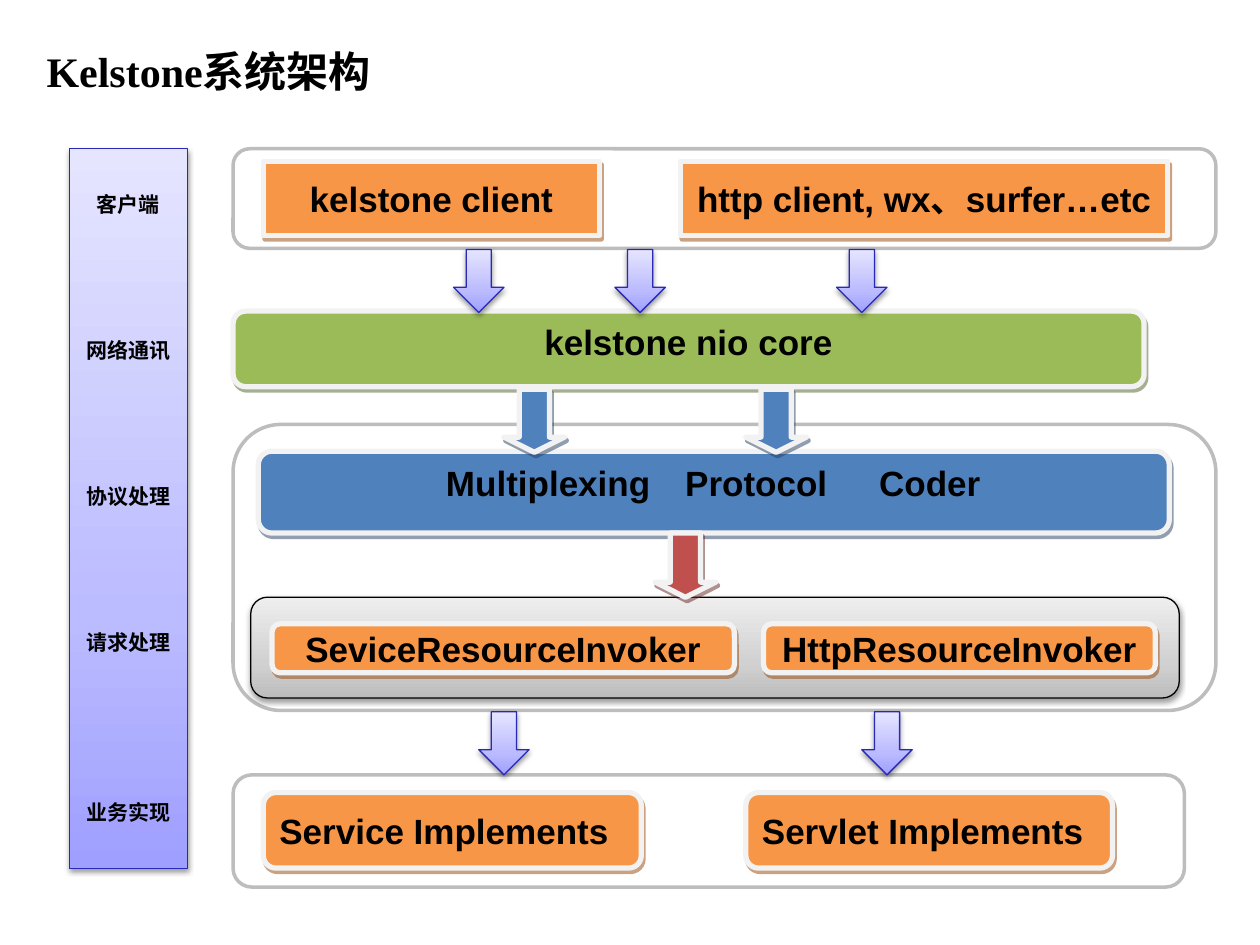
"""Build the system architecture slide."""
from copy import deepcopy

from lxml import etree
from pptx import Presentation
from pptx.dml.color import RGBColor
from pptx.enum.shapes import MSO_SHAPE
from pptx.enum.text import MSO_ANCHOR, PP_ALIGN
from pptx.oxml.ns import qn
from pptx.util import Pt

RECT, ROUND, DOWN = MSO_SHAPE.RECTANGLE, MSO_SHAPE.ROUNDED_RECTANGLE, MSO_SHAPE.DOWN_ARROW
LEFT, CENTER = PP_ALIGN.LEFT, PP_ALIGN.CENTER
TOP, MIDDLE = MSO_ANCHOR.TOP, MSO_ANCHOR.MIDDLE

COLORS = {
    "text": "000000", "white": "FFFFFF", "frame": "BDBDBD", "edge": "F2F2F2",
    "orange": "F79646", "orange_shade": "974706", "blue": "4F81BD", "blue_shade": "243F60",
    "green": "9BBB59", "green_shade": "4E6128", "red": "C0504D", "red_shade": "622423",
    "violet_line": "2929B8", "violet_0": "9F9FFF", "violet_35": "BBBBFF", "violet_100": "E5E5FF",
    "gray_line": "000000", "gray_0": "BDBDBD", "gray_35": "D1D1D1", "gray_100": "EEEEEE",
}


def rgb(name):
    """Return the named colour."""
    return RGBColor.from_string(COLORS[name])


class Diagram:
    """Hold the style and the current slide."""

    def __init__(self, slide):
        """Keep the slide to draw on."""
        self.slide = slide

    def shape(self, kind, box, line, width):
        """Add a plain shape with an outline."""
        s = self.slide.shapes.add_shape(kind, *map(Pt, box))
        s.shadow.inherit = False
        s.line.color.rgb = rgb(line)
        s.line.width = Pt(width)
        return s

    def shadow(self, s, color, alpha, blur, dist, angle):
        """Give a shape an outer shadow."""
        effects = s._element.spPr.find(qn("a:effectLst"))
        shadow = etree.SubElement(effects, qn("a:outerShdw"), blurRad=str(Pt(blur)),
                                  dist=str(Pt(dist)), dir=str(angle * 60000),
                                  algn="ctr", rotWithShape="0")
        clr = etree.SubElement(shadow, qn("a:srgbClr"), val=COLORS[color])
        etree.SubElement(clr, qn("a:alpha"), val=str(alpha * 1000))

    def frame(self, *box):
        """Add a white rounded panel."""
        s = self.shape(ROUND, box, "frame", 2)
        s.fill.solid()
        s.fill.fore_color.rgb = rgb("white")

    def block(self, kind, color, *box):
        """Add a solid shape with a light edge and a tinted shadow."""
        s = self.shape(kind, box, "edge", 3)
        s.fill.solid()
        s.fill.fore_color.rgb = rgb(color)
        self.shadow(s, color + "_shade", 50, 0, 2.2, 63)
        if kind == DOWN:
            s.adjustments[1] = 0.25
        return s

    def shaded(self, kind, color, *box):
        """Add a shape with a three-step vertical gradient."""
        s = self.shape(kind, box, color + "_line", 0.75)
        s.fill.gradient()
        s.fill.gradient_angle = 90
        stop_list = s._element.spPr.find(".//" + qn("a:gsLst"))
        stop_list.append(deepcopy(stop_list[0]))
        for stop, position in zip(s.fill.gradient_stops, (0, 35, 100)):
            stop.color.rgb = rgb(f"{color}_{position}")
            stop.position = position / 100
        self.shadow(s, "text", 38, 3.1, 1.6, 90)
        return s

    def label(self, s, lines, size=20, font="Arial", align=CENTER, anchor=MIDDLE, gaps=(0,)):
        """Put one paragraph for each line into a shape."""
        tf = s.text_frame
        tf.word_wrap = True
        tf.vertical_anchor = anchor
        for i, (line, gap) in enumerate(zip(lines, gaps)):
            p = tf.paragraphs[0] if i == 0 else tf.add_paragraph()
            p.text = line
            p.alignment = align
            p.space_before = Pt(gap)
            p.font.size, p.font.name, p.font.bold = Pt(size), font, True
            p.font.color.rgb = rgb("text")
        return tf

    def title(self, text, *box):
        """Fill and place the title placeholder."""
        s = self.slide.shapes.title
        s.left, s.top, s.width, s.height = map(Pt, box)
        self.label(s, [text], 24, "Times New Roman", LEFT)

    def tabs(self, tf, *positions):
        """Set left tab stops on the first paragraph."""
        pPr = tf.paragraphs[0]._p.get_or_add_pPr()
        tab_list = etree.Element(qn("a:tabLst"))
        for position in positions:
            etree.SubElement(tab_list, qn("a:tab"), pos=str(Pt(position)), algn="l")
        pPr.find(qn("a:defRPr")).addprevious(tab_list)


prs = Presentation()
prs.slide_width, prs.slide_height = Pt(720), Pt(540)
d = Diagram(prs.slides.add_slide(prs.slide_layouts[5]))

d.title("Kelstone系统架构", 19.4, 15.1, 674.6, 51.1)
d.frame(133.2, 442.8, 543.6, 64.1)
d.frame(133.2, 242.6, 561.6, 163.4)
d.frame(133.2, 85, 561.6, 56.9)

layers = d.shaded(RECT, "violet", 39.6, 85, 67.7, 411.1)
d.label(layers, ["客户端", "网络通讯", "协议处理", "请求处理", "业务实现"],
        12, "Times New Roman", gaps=(0, 69, 69, 69, 82.8))

for text, x, w in (("kelstone client", 150.5, 192.2),
                   ("http client, wx、surfer…etc", 388.8, 278.6)):
    d.label(d.block(RECT, "orange", x, 92.2, w, 42.5), [text])

for text, x, w in (("Service Implements", 150.5, 216), ("Servlet Implements", 426.2, 209.5)):
    d.label(d.block(ROUND, "orange", x, 452.9, w, 43.2), [text], align=LEFT)

protocol = d.block(ROUND, "blue", 147.6, 257.8, 520.6, 46.8)
tf = d.label(protocol, ["Multiplexing\tProtocol\tCoder"], align=LEFT, anchor=TOP)
tf.margin_left = Pt(105)
d.tabs(tf, 136.7, 247.5)

core = d.block(ROUND, "green", 133.2, 177.8, 520.6, 43.2)
d.label(core, ["kelstone nio core"], anchor=TOP)

for x, y in ((259.2, 142.6), (351.4, 142.6), (478.1, 142.6), (273.6, 406.8), (492.5, 406.8)):
    d.shaded(DOWN, "violet", x, y, 28.8, 36)
for x in (288, 426.2):
    d.block(DOWN, "blue", x, 222.5, 34.6, 36)

d.shaded(ROUND, "gray", 143.3, 341.3, 530.6, 57.6)
for text, x, w in (("SeviceResourceInvoker", 155.5, 264.2),
                   ("HttpResourceInvoker", 436.3, 223.9)):
    d.label(d.block(ROUND, "orange", x, 356.4, w, 28.1), [text])
d.block(DOWN, "red", 374.4, 304.6, 34.6, 36.7)

prs.save("out.pptx")
